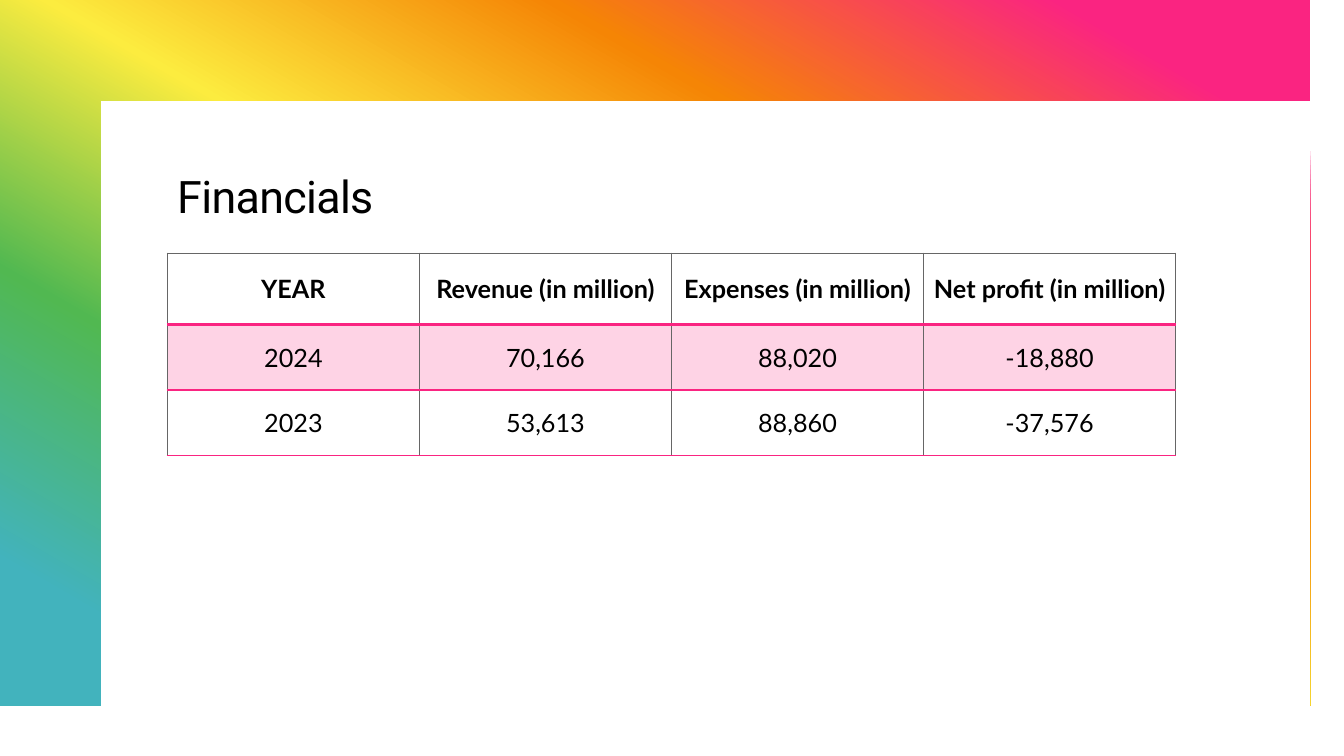
from dataclasses import dataclass

import lxml.etree
import pptx
import pptx.dml.color
import pptx.enum.text
import pptx.oxml.ns
import pptx.util

Inches = pptx.util.Inches
Pt = pptx.util.Pt
qn = pptx.oxml.ns.qn


@dataclass(frozen=True)
class Theme:
    pink: str = "FA2481"
    grid: str = "666666"
    ink: str = "000000"
    rainbow: tuple = ((10, "FA2481"), (30, "F58505"), (50, "FCEC3F"),
                      (70, "51B851"), (90, "42B3BD"))
    rainbow_angle: int = 120
    title_font: str = "Roboto"
    table_font: str = "Lato"
    title_size: int = 32
    table_size: int = 18


@dataclass(frozen=True)
class Edge:
    color: str
    width: float


@dataclass(frozen=True)
class FinancialRow:
    values: tuple
    height: float
    top: Edge
    bottom: Edge
    bold: bool = False
    highlighted: bool = False


THEME = Theme()
THIN = Edge(THEME.grid, 0.75)
HEADER_RULE = Edge(THEME.pink, 2)
ROW_RULE = Edge(THEME.pink, 1.5)
LAST_RULE = Edge(THEME.pink, 1)

FINANCIALS = (
    FinancialRow(("YEAR", "Revenue (in million)", "Expenses (in million)",
                  "Net profit (in million)"), 0.71, THIN, HEADER_RULE, bold=True),
    FinancialRow(("2024", "70,166", "88,020", "-18,880"), 0.65,
                 HEADER_RULE, ROW_RULE, highlighted=True),
    FinancialRow(("2023", "53,613", "88,860", "-37,576"), 0.65,
                 ROW_RULE, LAST_RULE),
)
COLUMN_WIDTH = 2.5
FRAME = ((0, 0), (13.33, 0), (13.33, 6.68), (12.51, 6.68),
         (12.51, 0.84), (0.84, 0.84), (0.84, 6.68), (0, 6.68))


def rgb(color: str) -> pptx.dml.color.RGBColor:
    return pptx.dml.color.RGBColor.from_string(color)


def add_color(parent, color: str):
    node = lxml.etree.SubElement(parent, qn("a:srgbClr"))
    node.set("val", color)
    return node


def style_font(font, name: str, size: float, bold: bool = False) -> None:
    font.name = name
    font.size = Pt(size)
    font.bold = bold
    font.color.rgb = rgb(THEME.ink)


def draw_frame(slide) -> None:
    builder = slide.shapes.build_freeform(*FRAME[0], scale=Inches(1))
    builder.add_line_segments(FRAME[1:], close=True)
    frame = builder.convert_to_shape()
    frame.shadow.inherit = False
    frame.line.fill.background()

    # Five-stop rainbow running from the top right to the bottom left
    frame.fill.gradient()
    gradient = frame._element.spPr.find(qn("a:gradFill"))
    for child in list(gradient):
        gradient.remove(child)
    stops = lxml.etree.SubElement(gradient, qn("a:gsLst"))
    for position, color in THEME.rainbow:
        stop = lxml.etree.SubElement(stops, qn("a:gs"))
        stop.set("pos", str(position * 1000))
        add_color(stop, color)
    direction = lxml.etree.SubElement(gradient, qn("a:lin"))
    direction.set("ang", str(THEME.rainbow_angle * 60000))
    direction.set("scaled", "0")


def draw_title(slide, text: str) -> None:
    title = slide.shapes.add_textbox(Inches(1.66), Inches(1.66), Inches(10), Inches(1.4))
    title.text_frame.word_wrap = True
    heading = title.text_frame.paragraphs[0]
    run = heading.add_run()
    run.text = text
    run._r.get_or_add_rPr().set("spc", "-50")
    heading.line_spacing = 0.95
    style_font(heading.font, THEME.title_font, THEME.title_size)


def draw_edge(cell, side: str, edge: Edge) -> None:
    line = lxml.etree.SubElement(cell._tc.get_or_add_tcPr(), qn(f"a:ln{side}"))
    line.set("w", str(Pt(edge.width)))
    add_color(lxml.etree.SubElement(line, qn("a:solidFill")), edge.color)


def fill_cell(cell, row: FinancialRow, value: str) -> None:
    cell.text = value
    cell.vertical_anchor = pptx.enum.text.MSO_ANCHOR.MIDDLE
    cell.margin_left = cell.margin_right = Inches(0.08)
    paragraph = cell.text_frame.paragraphs[0]
    paragraph.alignment = pptx.enum.text.PP_ALIGN.CENTER
    style_font(paragraph.font, THEME.table_font, THEME.table_size, row.bold)

    # Borders come before the fill in a cell's properties
    for side, edge in (("L", THIN), ("R", THIN), ("T", row.top), ("B", row.bottom)):
        draw_edge(cell, side, edge)
    if row.highlighted:
        cell.fill.solid()
        cell.fill.fore_color.rgb = rgb(THEME.pink)
        tint = cell._tc.tcPr.find(qn("a:solidFill")).find(qn("a:srgbClr"))
        lxml.etree.SubElement(tint, qn("a:alpha")).set("val", "20000")
    else:
        cell.fill.background()


def draw_financials(slide, rows: tuple) -> None:
    column_count = len(rows[0].values)
    table = slide.shapes.add_table(
        len(rows), column_count, Inches(1.66), Inches(2.51),
        Inches(COLUMN_WIDTH * column_count),
        Inches(sum(row.height for row in rows))).table
    table.first_row = table.horz_banding = False
    for column in table.columns:
        column.width = Inches(COLUMN_WIDTH)
    for row_index, row in enumerate(rows):
        table.rows[row_index].height = Inches(row.height)
        for column_index, value in enumerate(row.values):
            fill_cell(table.cell(row_index, column_index), row, value)


def main() -> None:
    deck = pptx.Presentation()
    deck.slide_width = Inches(13.33)
    deck.slide_height = Inches(7.5)
    slide = deck.slides.add_slide(deck.slide_layouts[6])
    draw_frame(slide)
    draw_title(slide, "Financials")
    draw_financials(slide, FINANCIALS)
    deck.save("out.pptx")


if __name__ == "__main__":
    main()
